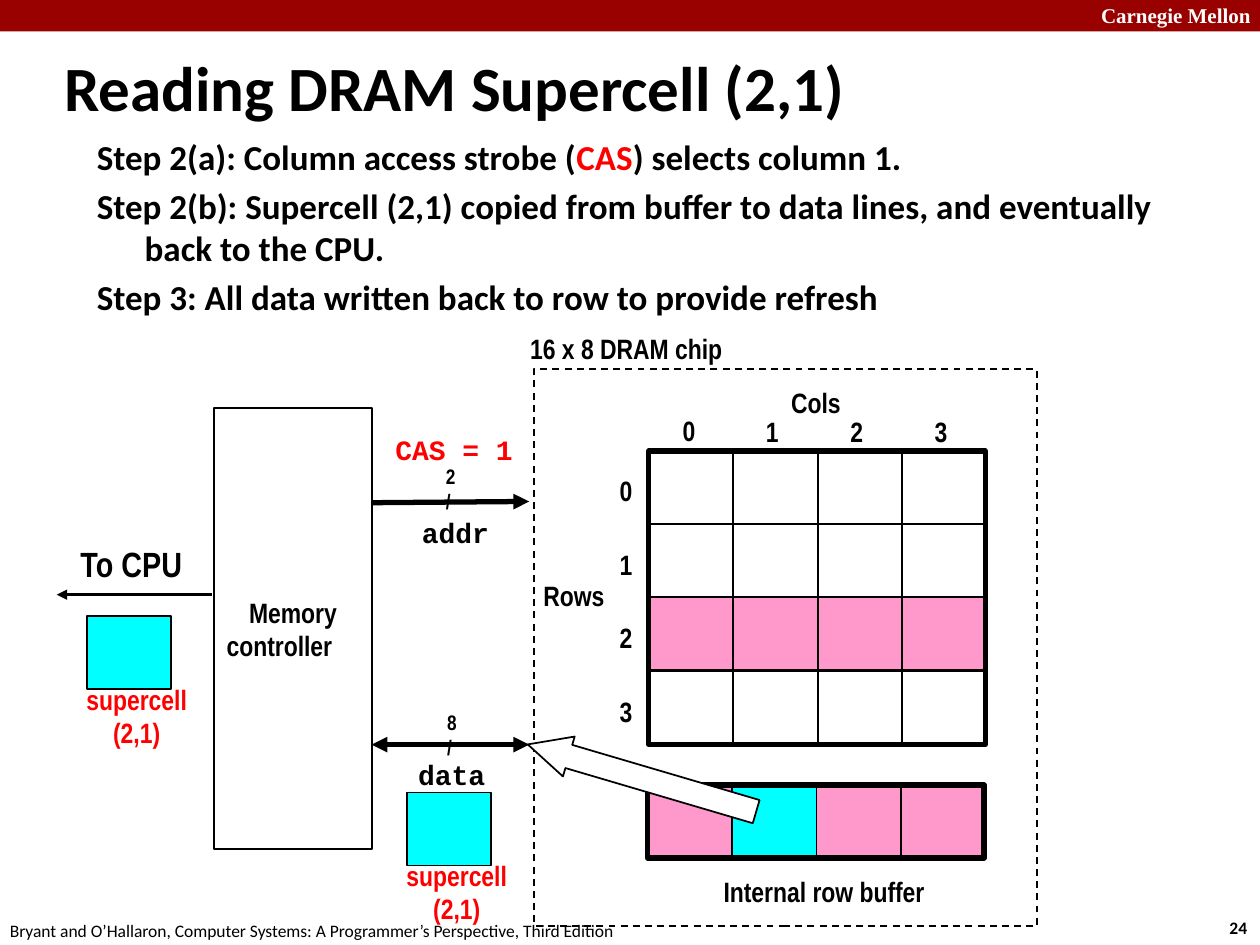
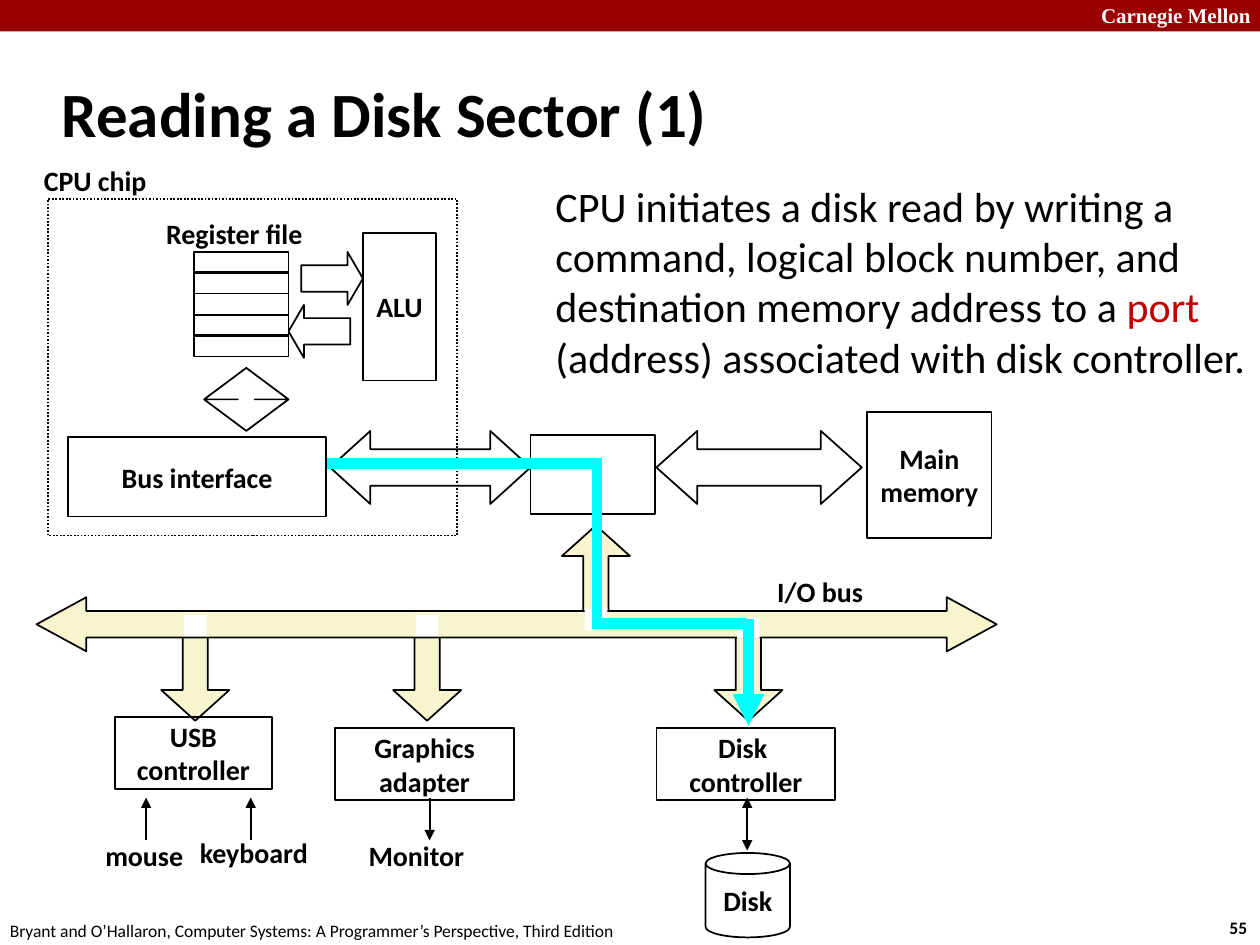
"""Build two lecture slides: a DRAM read and a disk sector read."""
from lxml.etree import SubElement
from pptx import Presentation
from pptx.dml.color import RGBColor as RGB
from pptx.enum.dml import MSO_LINE as DASH
from pptx.enum.shapes import MSO_CONNECTOR as JOIN, MSO_SHAPE as SHAPE
from pptx.enum.text import MSO_ANCHOR as ANCHOR, MSO_AUTO_SIZE as FIT, PP_ALIGN as ALIGN
from pptx.oxml.ns import qn
from pptx.util import Pt

SCALE = 9144
BLACK = RGB(0, 0, 0)
WHITE = RGB(255, 255, 255)
MAROON = RGB(0x99, 0, 0)
RED = RGB(255, 0, 0)
BRICK = RGB(0xC0, 0, 0)
PINK = RGB(0xFF, 0x99, 0xCC)
CYAN = RGB(0, 255, 255)
CREAM = RGB(0xF7, 0xF5, 0xCD)
LEFT, MID = ALIGN.LEFT, ALIGN.CENTER
NARROW, MONO, SANS, SERIF = "Arial Narrow", "Courier New", "Calibri", "Times New Roman"


def emu(*sizes):
    return [size * SCALE for size in sizes]


def assign(target, **values):
    for key, value in values.items():
        setattr(target, key, value)


class Pen:
    """Draws styled elements on the current slide."""

    def __init__(self):
        self.deck = Presentation()
        assign(self.deck, slide_width=1000 * SCALE, slide_height=750 * SCALE)

    def start(self, title, number, face, left, top):
        self.slide = self.deck.slides.add_slide(self.deck.slide_layouts[5])
        self.face = SANS
        self.box(0, 0, 1000, 25, fill=MAROON, line=None)
        self.note("Carnegie Mellon", 864, -3, 143, 30, size=12, face=SERIF, color=WHITE, wrap=True)
        self.note(number, 966, 723, 37, 27, size=10)
        self.note("Bryant and O’Hallaron, Computer Systems: A Programmer’s Perspective, Third Edition",
                  -2, 725, 508, 27, size=10, bold=False)
        head = self.slide.shapes.title
        assign(head, **dict(zip(("left", "top", "width", "height"), emu(left, top, 830, 83))))
        head.text_frame.auto_size = FIT.NONE
        self.letter(head, title, size=36, wrap=True, hang=13)
        self.face = face

    def letter(self, shape, text, size=16, face=None, color=BLACK, bold=True, align=LEFT,
               wrap=False, anchor=ANCHOR.MIDDLE, hang=0, gap=0, mark="", tint=RED):
        frame = shape.text_frame
        assign(frame, word_wrap=wrap, vertical_anchor=anchor)
        for i, line in enumerate(text.split("\n")):
            para = frame.add_paragraph() if i else frame.paragraphs[0]
            assign(para, alignment=align, space_before=Pt(gap if i else 0))
            if hang:
                props = para._p.get_or_add_pPr()
                props.set("marL", str(hang * SCALE))
                props.set("indent", str(-hang * SCALE))
            parts = line.partition(mark) if mark else (line,)
            for part in filter(None, parts):
                run = para.add_run()
                run.text = part
                assign(run.font, size=Pt(size), bold=bold, name=face or self.face)
                run.font.color.rgb = tint if part == mark else color

    def note(self, text, left, top, width, height, **style):
        area = self.slide.shapes.add_textbox(*emu(left, top, width, height))
        area.text_frame.auto_size = FIT.SHAPE_TO_FIT_TEXT
        self.letter(area, text, **style)

    def box(self, left, top, width, height, kind=SHAPE.RECTANGLE, fill=None, line=1,
            dash=None, text="", adj=(), turn=0, align=MID):
        shape = self.slide.shapes.add_shape(kind, *emu(left, top, width, height))
        shape.rotation = turn
        shape.shadow.inherit = False
        for i, value in enumerate(adj):
            shape.adjustments[i] = value
        if fill is None:
            shape.fill.background()
        else:
            shape.fill.solid()
            shape.fill.fore_color.rgb = fill
        if line:
            shape.line.color.rgb = BLACK
            assign(shape.line, width=Pt(line), dash_style=dash)
        else:
            shape.line.fill.background()
        if text:
            self.letter(shape, text, align=align)
        return shape

    def wire(self, x1, y1, x2, y2, width=1, color=BLACK, ends=()):
        wire = self.slide.shapes.add_connector(JOIN.STRAIGHT, *emu(x1, y1, x2, y2))
        wire.line.color.rgb = color
        wire.line.width = Pt(width)
        props = wire._element.spPr
        for end in ends:
            SubElement(props.find(qn("a:ln")), qn(f"a:{end}End")).set("type", "triangle")
        SubElement(props, qn("a:effectLst"))


def draw_dram(pen):
    pen.start("Reading DRAM Supercell (2,1)", "24", NARROW, 41, 27)
    pen.note("Step 2(a): Column access strobe (CAS) selects column 1.\n"
             "Step 2(b): Supercell (2,1) copied from buffer to data lines, and eventually back to the CPU.\n"
             "Step 3: All data written back to row to provide refresh",
             67, 103, 885, 156, size=20, face=SANS, wrap=True, anchor=ANCHOR.TOP,
             hang=38, gap=4, mark="CAS")
    pen.note("Cols", 618, 301, 60, 37)
    pen.note("Rows", 421, 454, 69, 37, align=MID)
    for row in range(4):
        y = 358 + 175 * row // 3
        pen.note(str(row), 482, y + 13, 32, 37)
        for col in range(4):
            pen.box(516 + 200 * col // 3, y, 67, 58, fill=PINK if row == 2 else WHITE)
    for col in range(4):
        step = 200 * col // 3
        pen.note(str(col), 532 + step, 324 if col else 323, 32, 37)
        pen.box(515 + step, 623, 67, 58, fill=CYAN if col == 1 else PINK)
    pen.box(515, 358, 267, 233, line=3)
    pen.box(514, 623, 267, 58, line=3)
    pen.note("Internal row buffer", 563, 689, 182, 37, align=MID)
    pen.box(424, 293, 399, 442, dash=DASH.DASH)
    pen.note("16 x 8 DRAM chip", 411, 258, 207, 37)

    pen.note("CAS = 1", 304, 338, 114, 37, face=MONO, color=RED)
    pen.wire(295, 399, 420, 398, width=3, ends=["tail"])
    pen.note("addr", 325, 404, 74, 37, face=MONO)
    pen.wire(295, 591, 420, 591, width=3, ends=["head", "tail"])
    pen.note("data", 322, 596, 74, 37, face=MONO)
    pen.note("2\n/", 344, 363, 29, 50, size=12)
    pen.note("8\n/", 345, 558, 29, 50, size=12)

    chip = pen.box(170, 324, 125, 350, fill=WHITE, text="Memory\ncontroller")
    chip.text_frame.paragraphs[1].alignment = LEFT
    pen.box(493, 523, 33, 189, SHAPE.DOWN_ARROW, WHITE, adj=(0.58, 1.03), turn=106.4)
    for text_x, cell_x, y in ((312, 323, 629), (58, 69, 489)):
        pen.note("supercell \n(2,1)", text_x, y + 47, 101, 64, color=RED, align=MID)
        pen.box(cell_x, y, 67, 58, fill=CYAN)
    pen.wire(168, 472, 45, 472, width=1.5, ends=["tail"])
    pen.note("To CPU", 54, 425, 101, 44, size=20)


def draw_disk(pen):
    pen.start("Reading a Disk Sector (1)", "55", SANS, 39, 48)
    pen.box(688, 327, 99, 100, text="Main\nmemory")
    pen.box(521, 342, 163, 58, SHAPE.LEFT_RIGHT_ARROW, adj=(0.5, 0.56))
    pen.box(421, 345, 99, 63)
    pen.box(262, 342, 159, 58, SHAPE.LEFT_RIGHT_ARROW, adj=(0.5, 0.55))
    for row in range(5):
        pen.box(154, 200 + 50 * row // 3, 75, 17)
    pen.box(239, 200, 49, 42, SHAPE.RIGHT_ARROW, adj=(0.5, 0.29))
    pen.box(229, 242, 49, 42, SHAPE.LEFT_ARROW, adj=(0.5, 0.29))
    pen.box(288, 185, 58, 117, text="ALU")
    pen.note("Register file", 121, 167, 130, 37, align=MID)
    pen.box(162, 292, 67, 50, SHAPE.UP_DOWN_ARROW, adj=(0.5, 0.2))
    pen.box(38, 158, 325, 267, dash=DASH.ROUND_DOT)
    pen.note("CPU chip", 25, 125, 103, 37)

    stem = dict(fill=CREAM, adj=(0.37, 0.45))
    pen.box(446, 417, 54, 75, SHAPE.UP_ARROW, **stem)
    for x in (567, 312, 128):
        pen.box(x, 497, 54, 75, SHAPE.DOWN_ARROW, **stem)
    for text, x, y, width in (("Disk \ncontroller", 521, 578, 142),
                              ("Graphics\nadapter", 266, 578, 142),
                              ("USB\ncontroller", 91, 569, 125)):
        pen.box(x, y, width, 57, text=text)
    for x, end, ends in ((116, 667, ["head"]), (199, 667, ["head"]),
                         (341, 667, ["tail"]), (593, 675, ["head", "tail"])):
        pen.wire(x, 633, x, end, ends=ends)
    for text, x, y, width in (("mouse", 73, 660, 83), ("keyboard", 148, 658, 107),
                              ("Monitor", 282, 660, 97)):
        pen.note(text, x, y, width, 37, align=MID)
    pen.box(560, 677, 67, 67, SHAPE.CAN, text="Disk", adj=(0.25,))

    pen.box(29, 474, 762, 43, SHAPE.LEFT_RIGHT_ARROW, CREAM, adj=(0.49, 0.92))
    for x, y in ((146, 488), (330, 488), (585, 490), (464, 483)):
        pen.box(x, y, 18, 17, fill=WHITE, line=None)
    pen.note("I/O bus", 607, 451, 89, 37)
    for ends in ((258, 368, 478, 368), (474, 368, 474, 492), (470, 495, 593, 495)):
        pen.wire(*ends, width=6, color=CYAN)
    pen.wire(594, 491, 594, 576, width=6, color=CYAN, ends=["tail"])
    pen.box(54, 347, 205, 63, text="Bus interface")
    pen.note("CPU initiates a disk read by writing a command, logical block number, and "
             "destination memory address to a port (address) associated with disk controller.",
             431, 138, 582, 172, size=24, bold=False, wrap=True, anchor=ANCHOR.TOP,
             mark="port", tint=BRICK)


def main():
    pen = Pen()
    draw_dram(pen)
    draw_disk(pen)
    pen.deck.save("out.pptx")


if __name__ == "__main__":
    main()
